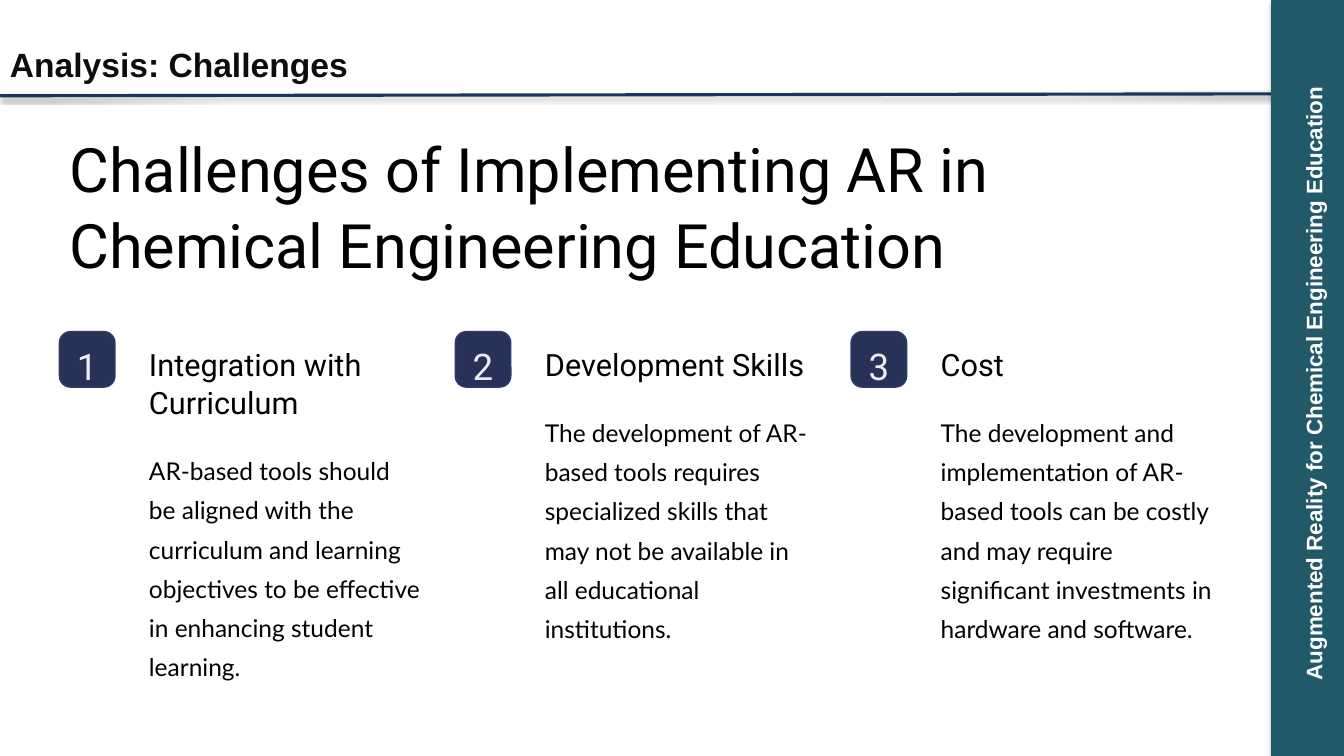
"""Builds the slide on challenges of AR in chemical engineering education."""
import pptx
import pptx.dml.color
import pptx.enum.shapes
import pptx.enum.text
import pptx.oxml
import pptx.oxml.ns
import pptx.util

COLS, ROWS = 133.33, 75
UNIT = pptx.util.Inches(0.1)
ALIGN = pptx.enum.text.PP_ALIGN
ANCHOR = pptx.enum.text.MSO_ANCHOR
SHAPE = pptx.enum.shapes.MSO_SHAPE
SHADE = (
    '<a:effectLst %s><a:outerShdw blurRad="39370" dist="22860" dir="5400000" rotWithShape="0">'
    '<a:srgbClr val="000000"><a:alpha val="35000"/></a:srgbClr></a:outerShdw></a:effectLst>'
    % pptx.oxml.ns.nsdecls("a"))


def grid(*cells):
    return [round(cell * UNIT) for cell in cells]


def tint(code):
    return pptx.dml.color.RGBColor.from_string(code)


class Page:
    def __init__(self, slide, face, ink):
        self.shapes = slide.shapes
        self.face = face
        self.ink = ink

    def shade(self, item):
        item._element.spPr.append(pptx.oxml.parse_xml(SHADE))

    def line(self, start, end, color, width):
        rule = self.shapes.add_connector(
            pptx.enum.shapes.MSO_CONNECTOR.STRAIGHT, *grid(*start, *end))
        rule.line.color.rgb = tint(color)
        rule.line.width = pptx.util.Pt(width)
        self.shade(rule)

    def box(self, kind, place, fill, edge=None):
        box = self.shapes.add_shape(kind, *grid(*place))
        box.shadow.inherit = False
        box.fill.solid()
        box.fill.fore_color.rgb = tint(fill)
        if edge:
            box.line.color.rgb = tint(edge)
            box.line.width = pptx.util.Pt(1.09)
        else:
            box.line.fill.background()
        return box

    def text(self, words, place, size, lead=None, face=None, color=None,
             bold=False, align=ALIGN.LEFT, anchor=ANCHOR.TOP):
        item = self.shapes.add_textbox(*grid(*place))
        frame = item.text_frame
        frame.word_wrap = True
        frame.vertical_anchor = anchor
        frame.text = words
        para = frame.paragraphs[0]
        para.alignment = align
        if lead:
            para.line_spacing = lead
        font = para.runs[0].font
        font.name = face or self.face
        font.size = pptx.util.Pt(size)
        font.bold = bold
        font.color.rgb = tint(color or self.ink)
        return item

    def card(self, left, mark, head, body, lines):
        pt = pptx.util.Pt
        badge = self.box(SHAPE.ROUNDED_RECTANGLE, (left, 32.9, 5.5, 5.5), "283157", "303B69")
        badge.adjustments[0] = 0.2
        self.text(mark, (left, 33.4, 5.5, 4.6), 26.2, pt(32.8),
                  color="EBECEF", align=ALIGN.CENTER)
        inner = left + 7.9
        tall = 3.8 * lines
        self.text(head, (inner, 33.7, 29, tall), 21.9, pt(27.3))
        self.text(body, (inner, 36.2 + tall, 29, 23.3), 17.5, pt(28), "Lato")


deck = pptx.Presentation()
deck.slide_width, deck.slide_height = grid(COLS, ROWS)
page = Page(deck.slides.add_slide(deck.slide_layouts[6]), "Roboto", "000000")

page.line((0, 9.5), (COLS, 9.3), "17375E", 2.25)
band = page.box(SHAPE.RECTANGLE, (126.1, 0, COLS - 126.1, ROWS), "215968")
band._element.spPr.remove(band._element.spPr.find(pptx.oxml.ns.qn("a:effectLst")))
page.shade(band)
side = page.text("Augmented Reality for Chemical Engineering Education",
                 (91.9, 35.8, 75, 4.5), 16, 1.5, "Arial", "FFFFFF", True, ALIGN.CENTER)
side.rotation = 270
side.text_frame.paragraphs[0].space_after = pptx.util.Pt(6)
page.text("Analysis: Challenges", (0, 1.9, 126, 9), 24, face="Arial",
          color="0D0D0D", bold=True, anchor=ANCHOR.MIDDLE)
page.text("Challenges of Implementing AR in Chemical Engineering Education",
          (5.9, 12.2, 115.4, 15.2), 43.7, pptx.util.Pt(54.7))

CARDS = [
    ("Integration with Curriculum",
     "AR-based tools should be aligned with the curriculum and learning objectives "
     "to be effective in enhancing student learning.", 2),
    ("Development Skills",
     "The development of AR-based tools requires specialized skills that may not be "
     "available in all educational institutions.", 1),
    ("Cost",
     "The development and implementation of AR-based tools can be costly and may "
     "require significant investments in hardware and software.", 1),
]
for step, (head, body, lines) in enumerate(CARDS):
    page.card(5.9 + 39.27 * step, str(step + 1), head, body, lines)

deck.save("out.pptx")
